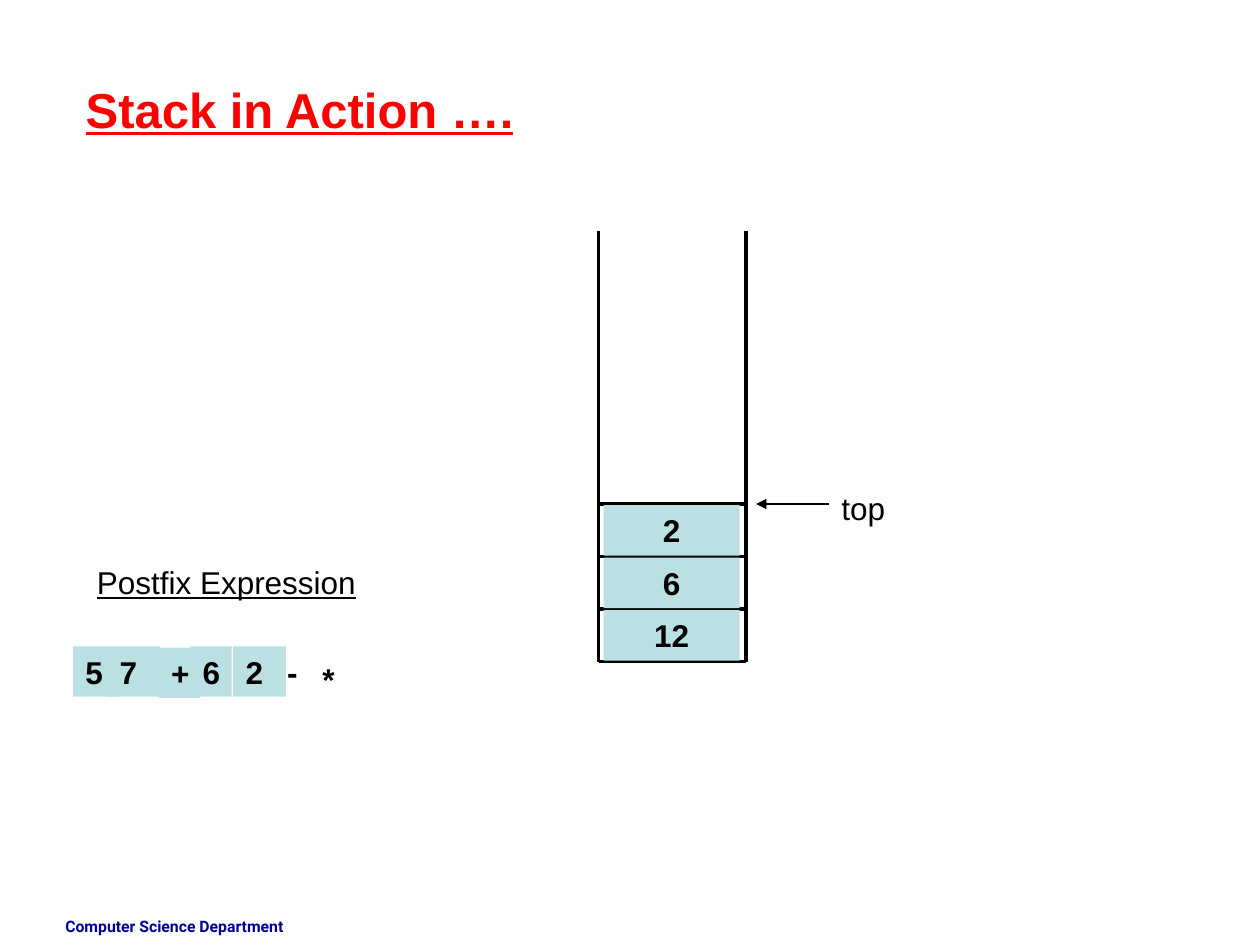
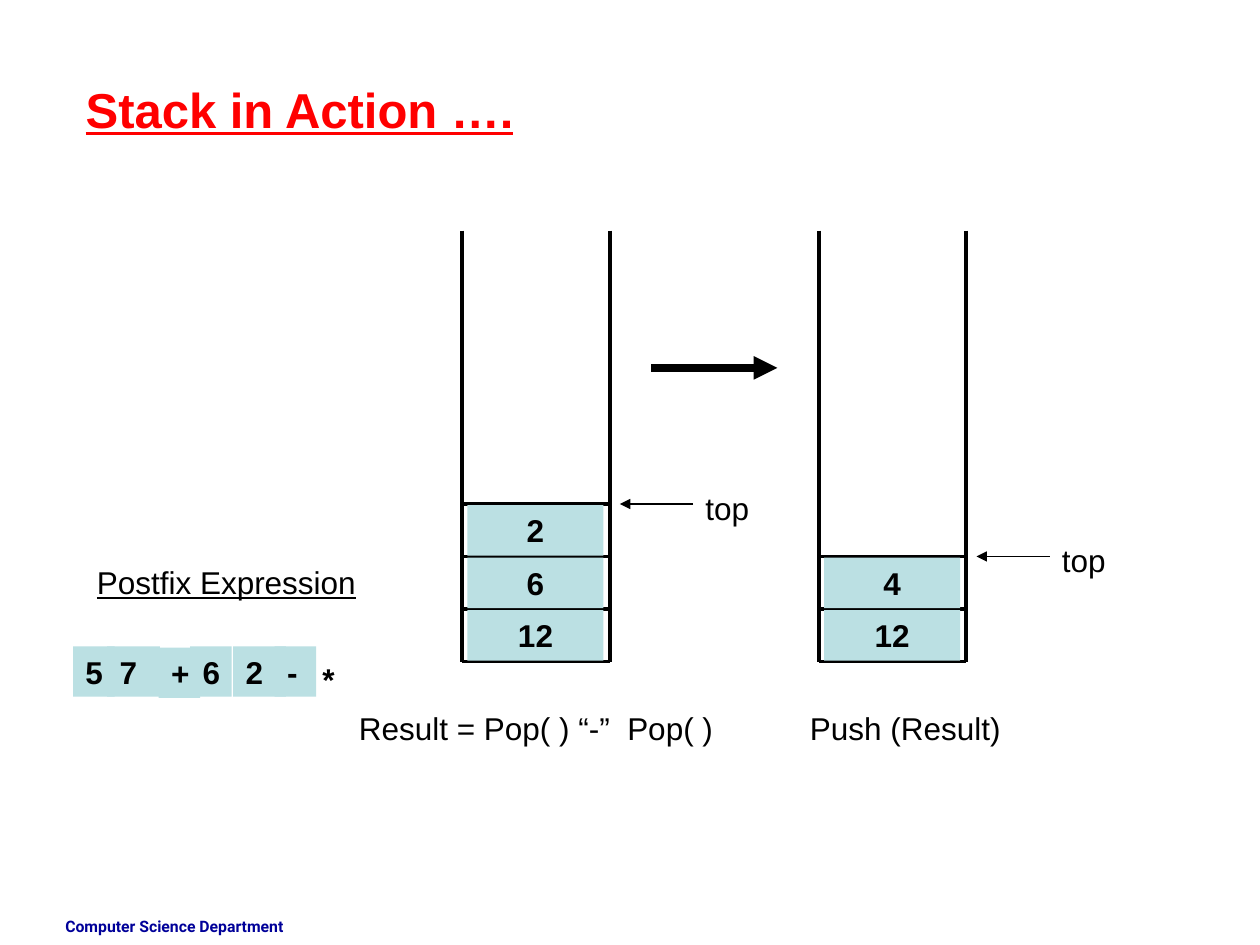
from lxml import etree
from pptx import Presentation
from pptx.dml.color import RGBColor
from pptx.enum.shapes import MSO_CONNECTOR, MSO_SHAPE
from pptx.enum.text import MSO_ANCHOR, PP_ALIGN
from pptx.oxml.ns import qn
from pptx.util import Inches, Pt

STRAIGHT = MSO_CONNECTOR.STRAIGHT
RECT = MSO_SHAPE.RECTANGLE
TOP = MSO_ANCHOR.TOP
LEFT, CENTER = PP_ALIGN.LEFT, PP_ALIGN.CENTER

RED = RGBColor(0xFF, 0x00, 0x00)
BLACK = RGBColor(0x00, 0x00, 0x00)
NAVY = RGBColor(0x00, 0x00, 0x99)
CELL_BLUE = RGBColor(0xBB, 0xE0, 0xE3)

TITLE_ONLY = 5
TEXT_H = 0.4
STACK_TOP, STACK_BOTTOM, STACK_W = 1.83, 5.25, 1.17
CELL_PITCH = 1.25 / 3
CELL_W = 1.08

# token, left, top, width
TOKENS = [
    ("5", 0.58, 5.13, 0.33),
    ("7", 0.85, 5.13, 0.42),
    ("+", 1.26, 5.14, 0.33),
    ("6", 1.51, 5.13, 0.33),
    ("2", 1.85, 5.13, 0.42),
    ("-", 2.18, 5.13, 0.33),
    ("*", 2.46, 5.19, 0.42),
]


def style_text(shape, text, size=18, color=BLACK, bold=False, underline=False,
               font="Arial", align=LEFT):
    tf = shape.text_frame
    tf.text = text
    tf.word_wrap = True
    tf.vertical_anchor = TOP
    p = tf.paragraphs[0]
    p.alignment = align
    f = p.runs[0].font
    f.name, f.size, f.color.rgb = font, Pt(size), color
    f.bold, f.underline = bold, underline


def add_text(s, text, x, y, w, h=TEXT_H, **style):
    box = s.shapes.add_textbox(Inches(x), Inches(y), Inches(w), Inches(h))
    style_text(box, text, **style)


def add_cell(s, text, x, y, w, align=LEFT):
    cell = s.shapes.add_shape(RECT, Inches(x), Inches(y), Inches(w), Inches(TEXT_H))
    cell.shadow.inherit = False
    cell.fill.solid()
    cell.fill.fore_color.rgb = CELL_BLUE
    cell.line.fill.background()
    style_text(cell, text, bold=True, align=align)


def add_line(s, x1, y1, x2, y2, width=2.25, arrow=False):
    line = s.shapes.add_connector(STRAIGHT, Inches(x1), Inches(y1),
                                  Inches(x2), Inches(y2))
    line.line.color.rgb = BLACK
    line.line.width = Pt(width)
    if arrow:
        etree.SubElement(line.line._get_or_add_ln(), qn("a:tailEnd"), type="triangle")
    etree.SubElement(line._element.spPr, qn("a:effectLst"))


def add_stack(s, x, values):
    """Draw an open stack at x, with values listed from the bottom up."""
    right = x + STACK_W
    for wall in (x, right):
        add_line(s, wall, STACK_TOP, wall, STACK_BOTTOM)
    add_line(s, x, STACK_BOTTOM, right, STACK_BOTTOM)
    for i, value in enumerate(values, 1):
        y = STACK_BOTTOM - i * CELL_PITCH
        add_line(s, x, y, right, y)
        add_cell(s, value, x + 0.04, y + 0.01, CELL_W, CENTER)
    top = STACK_BOTTOM - len(values) * CELL_PITCH
    label_x = right + 0.66
    add_text(s, "top", label_x, top - 0.17, 1.5)
    add_line(s, label_x, top, right + 0.08, top, width=0.75, arrow=True)


def add_postfix(s, read_count):
    """Show the expression with the tokens read so far highlighted."""
    add_text(s, "Postfix Expression", 0.67, 4.42, 2.75, underline=True)
    for i, (token, x, y, w) in enumerate(TOKENS):
        if i < read_count:
            add_cell(s, token, x, y, w)
        else:
            add_text(s, token, x, y, w, bold=True)


def add_slide(prs, read_count):
    s = prs.slides.add_slide(prs.slide_layouts[TITLE_ONLY])
    title = s.shapes.title
    title.left, title.top = Inches(0.58), Inches(0.58)
    title.width, title.height = Inches(6.58), Inches(0.57)
    style_text(title, "Stack in Action ….", size=28, color=RED, bold=True,
               underline=True)
    add_text(s, "Computer Science Department", 0.42, 7.23, 2.33, 0.27,
             size=9, color=NAVY, bold=True, font="Roboto")
    add_postfix(s, read_count)
    return s


def main():
    prs = Presentation()
    prs.slide_width, prs.slide_height = Inches(10), Inches(7.5)

    s = add_slide(prs, read_count=5)
    add_stack(s, 4.75, ["12", "6", "2"])

    s = add_slide(prs, read_count=6)
    add_stack(s, 3.67, ["12", "6", "2"])
    add_text(s, "Result = Pop( ) “-”  Pop( )", 2.75, 5.58, 3.33)
    add_stack(s, 6.5, ["12", "4"])
    add_text(s, "Push (Result)", 6.33, 5.58, 2.75)
    add_line(s, 5.17, 2.92, 6.17, 2.92, width=4.5, arrow=True)

    prs.save("out.pptx")


if __name__ == "__main__":
    main()
